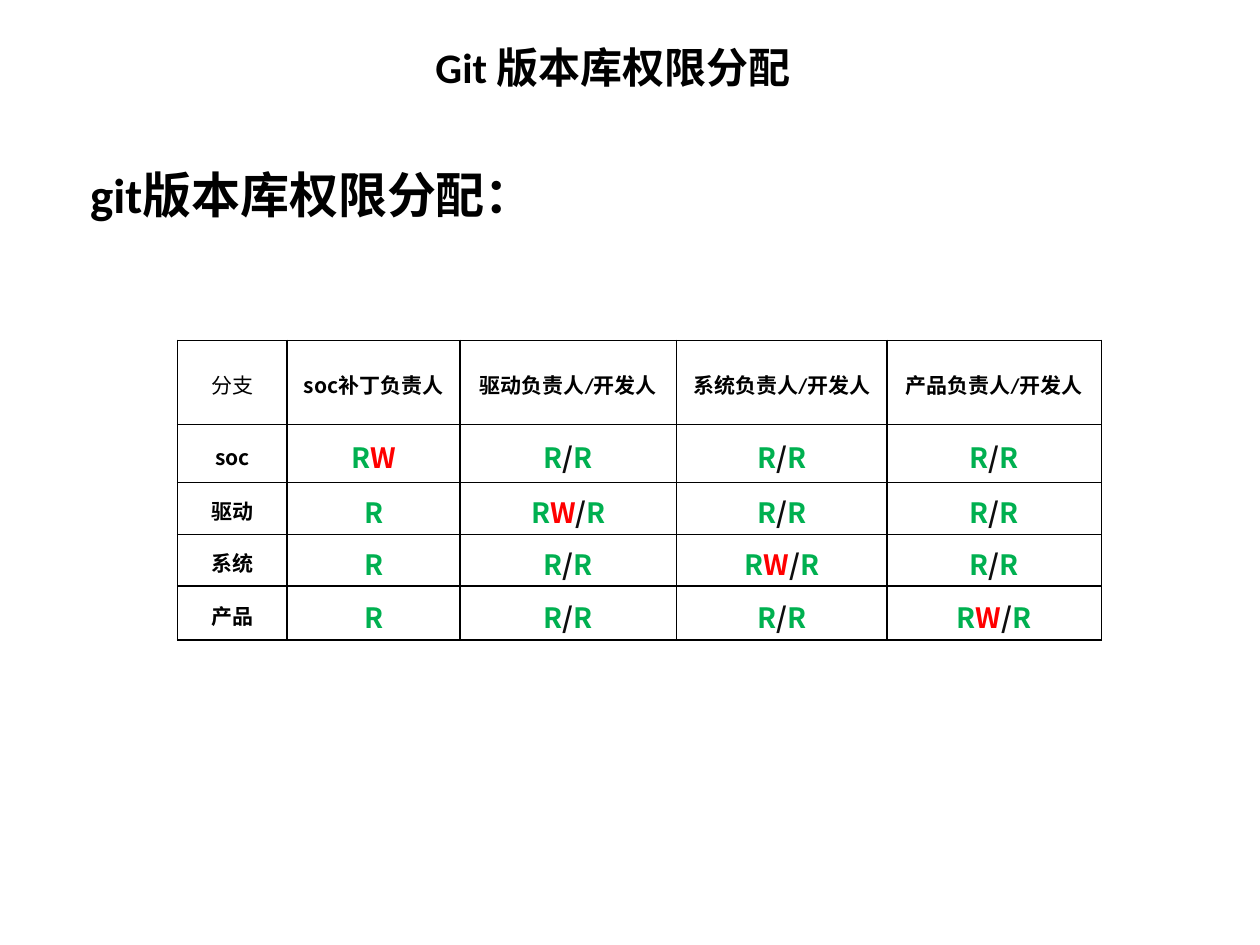
"""Build the slide on Git repository permissions."""
import pptx
import pptx.dml.color
import pptx.enum.shapes
import pptx.enum.text
import pptx.oxml
import pptx.oxml.ns
import pptx.util

Cm, Pt = pptx.util.Cm, pptx.util.Pt
Color = pptx.dml.color.RGBColor
Align, Anchor = pptx.enum.text.PP_ALIGN, pptx.enum.text.MSO_ANCHOR
BLACK = Color(0x00, 0x00, 0x00)
WHITE = Color(0xFF, 0xFF, 0xFF)
GREEN = Color(0x00, 0xB0, 0x50)
RED = Color(0xFF, 0x00, 0x00)
DARK = Color(0x0D, 0x0D, 0x0D)
LATIN, HAN = "Calibri", "Noto Sans CJK SC"
MARKS = {"R": GREEN, "W": RED, "/": DARK}
TEAM = "soc"


def write(line, text, size, face=LATIN, color=BLACK, bold=True):
    run = line.add_run()
    run.text = text
    for key, value in {"size": Pt(size), "name": face, "bold": bold}.items():
        setattr(run.font, key, value)
    run.font.color.rgb = color
    east = pptx.oxml.parse_xml(
        f'<a:ea {pptx.oxml.ns.nsdecls("a")} typeface="{HAN}"/>')
    run.font._element.find(pptx.oxml.ns.qn("a:latin")).addnext(east)


def style(cell):
    props = cell._tc.get_or_add_tcPr()
    for side in ("lnL", "lnR", "lnT", "lnB"):
        props.append(pptx.oxml.parse_xml(
            f'<a:{side} {pptx.oxml.ns.nsdecls("a")} w="12700"><a:solidFill>'
            f'<a:srgbClr val="{BLACK}"/></a:solidFill></a:{side}>'))
    cell.fill.background()
    look = {"margin_left": Cm(0.19), "margin_right": Cm(0.19),
            "margin_top": 0, "margin_bottom": 0,
            "vertical_anchor": Anchor.MIDDLE}
    for key, value in look.items():
        setattr(cell, key, value)
    line = cell.text_frame.paragraphs[0]
    for key, value in {"alignment": Align.CENTER, "line_spacing": 1.15}.items():
        setattr(line, key, value)
    return line


deck = pptx.Presentation()
deck.slide_width, deck.slide_height = Cm(25.4), Cm(19.05)
slide = deck.slides.add_slide(deck.slide_layouts[6])
shapes = slide.shapes

head = shapes.add_shape(pptx.enum.shapes.MSO_SHAPE.RECTANGLE,
                        Cm(1.57), Cm(3.18), Cm(18.47), Cm(1.8))
head.shadow.inherit = False
head.fill.solid()
head.fill.fore_color.rgb = WHITE
head.line.fill.background()
look = {"word_wrap": True, "vertical_anchor": Anchor.MIDDLE,
        "margin_bottom": Cm(0.46)}
for key, value in look.items():
    setattr(head.text_frame, key, value)
line = head.text_frame.paragraphs[0]
line.alignment = Align.LEFT
write(line, "git版本库权限分配:".replace(":", "\uff1a"), 28)

wide = [2.21, 3.48, 4.37, 4.24, 4.32]
high = [1.7, 1.17, 1.04, 1.04, 1.09]
table = shapes.add_table(len(high), len(wide), Cm(3.58), Cm(6.86),
                         Cm(sum(wide)), Cm(sum(high))).table
for col, size in zip(table.columns, wide):
    col.width = Cm(size)
for row, size in zip(table.rows, high):
    row.height = Cm(size)

names = [TEAM, "驱动", "系统", "产品"]
write(style(table.cell(0, 0)), "分支", 12, bold=False)
for i, name in enumerate(names, 1):
    top = style(table.cell(0, i))
    if name == TEAM:
        write(top, TEAM, 12, HAN)
        write(top, "补丁负责人", 12)
    else:
        write(top, name + "负责人/开发人", 12)
    write(style(table.cell(i, 0)), name, 12, HAN if name == TEAM else LATIN)
    for j in range(1, len(wide)):
        rights = ("RW" if i == j else "R") + ("/R" if j > 1 else "")
        line = style(table.cell(i, j))
        for mark in rights:
            write(line, mark, 16, HAN, MARKS[mark])

title = shapes.add_textbox(Cm(8.53), Cm(0.71), Cm(7.77), Cm(1.27))
title.text_frame.word_wrap = True
write(title.text_frame.paragraphs[0], "Git 版本库权限分配", 24)

deck.save("out.pptx")
